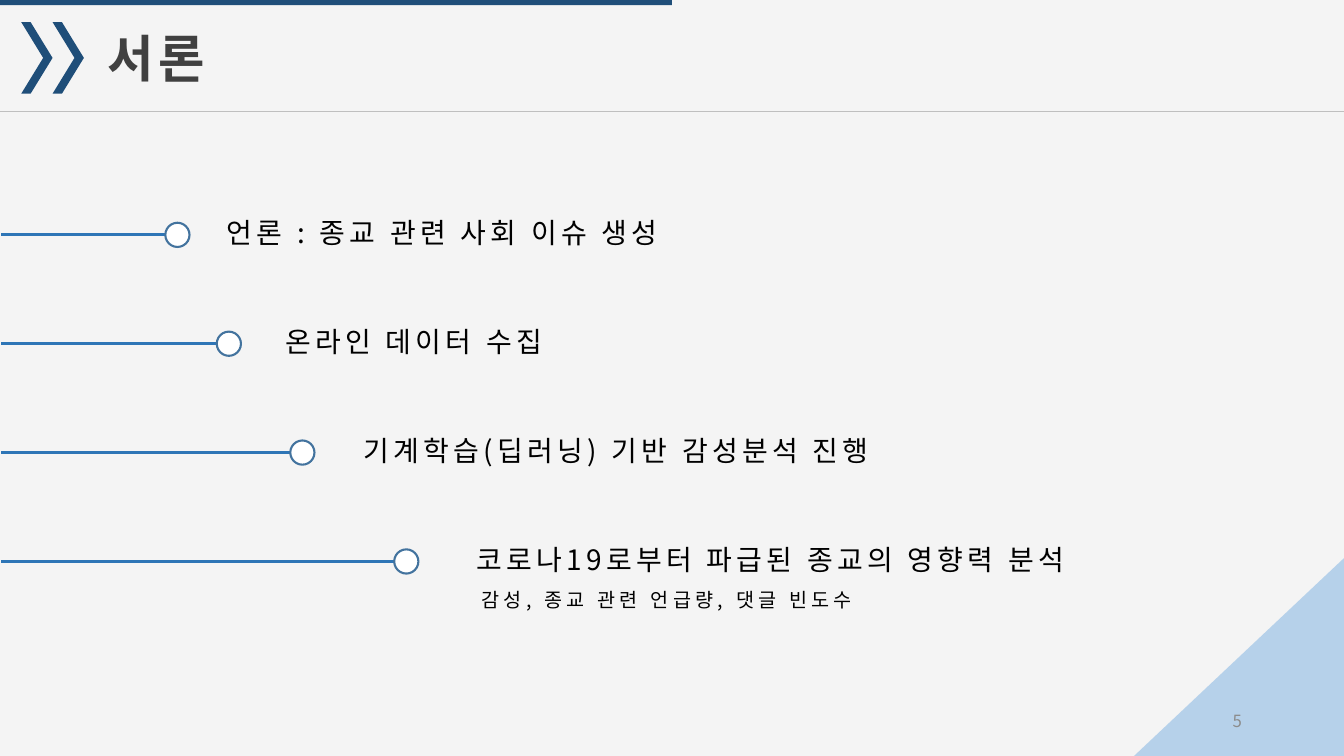
from pptx import Presentation
from pptx.dml.color import RGBColor
from pptx.enum.shapes import MSO_CONNECTOR, MSO_SHAPE
from pptx.enum.text import MSO_ANCHOR, MSO_AUTO_SIZE, PP_ALIGN
from pptx.oxml.ns import qn
from pptx.util import Inches, Pt
from lxml import etree

RECT = MSO_SHAPE.RECTANGLE
WEDGE = MSO_SHAPE.ISOSCELES_TRIANGLE
ARROW = MSO_SHAPE.CHEVRON
OVAL = MSO_SHAPE.OVAL
LINE = MSO_CONNECTOR.STRAIGHT
GROW = MSO_AUTO_SIZE.SHAPE_TO_FIT_TEXT
MIDDLE = MSO_ANCHOR.MIDDLE
RIGHT = PP_ALIGN.RIGHT

FONT = "Noto Sans CJK KR"
HEX = {
    "back": "EDEDED", "corner": "9DC3E6", "navy": "1F4E79",
    "title": "404040", "rule": "BFBFBF", "text": "000000",
    "stem": "2E75B6", "ring": "43739E", "white": "FFFFFF", "page": "8C8C8C",
}
INK = {name: RGBColor.from_string(code) for name, code in HEX.items()}

deck = Presentation()
deck.slide_width = Inches(13.33)
deck.slide_height = Inches(7.5)
COL = deck.slide_width / 100
ROW = deck.slide_height / 100
slide = deck.slides.add_slide(deck.slide_layouts[6])
shapes = slide.shapes


def draw(home, kind, x, y, w, h, ink, alpha=100):
    shape = home.add_shape(kind, int(x * COL), int(y * ROW), int(w * COL), int(h * ROW))
    shape.shadow.inherit = False
    shape.fill.solid()
    shape.fill.fore_color.rgb = INK[ink]
    shape.line.fill.background()
    if alpha < 100:
        tint = shape.fill._xPr.find(qn("a:solidFill"))[0]
        etree.SubElement(tint, qn("a:alpha")).set("val", str(alpha * 1000))
    return shape


def write(words, x, y, w, h, size, ink, space=300):
    box = shapes.add_textbox(int(x * COL), int(y * ROW), int(w * COL), int(h * ROW))
    frame = box.text_frame
    frame.word_wrap = True
    frame.auto_size = GROW
    run = frame.paragraphs[0].add_run()
    run.text = words
    run.font.size = Pt(size)
    run.font.name = FONT
    run.font.color.rgb = INK[ink]
    props = run.font._element
    props.set("spc", str(space))
    etree.SubElement(props, qn("a:ea")).set("typeface", FONT)
    return frame


draw(shapes, RECT, -1.13, 0, 104.1, 100, "back", 60)
corner = draw(shapes, WEDGE, 84.75, 82.4, 25.35, 22.8, "corner", 70)
corner.rotation = 136.7
draw(shapes, RECT, 0, 0, 50, 0.67, "navy")

title = write("서론", 7.28, 2.93, 13.88, 9.47, 36, "title")
title.paragraphs[0].runs[0].font.bold = True

marks = shapes.add_group_shape().shapes
for i in range(2):
    mark = draw(marks, ARROW, 1.58 + 2.33 * i, 2.93, 2.33, 9.47, "navy")
    mark.adjustments[0] = 0.7

TOP, STEP, MID = 27.87, 14.4, 3.2
DOT_W, DOT_H = 1.8, 3.2
items = [
    ("언론 : 종교 관련 사회 이슈 생성", 12.3, 16.13, 36.23),
    ("온라인 데이터 수집", 16.13, 20.48, 23.93),
    ("기계학습(딥러닝) 기반 감성분석 진행", 21.6, 26.33, 40.5),
    ("코로나19로부터 파급된 종교의 영향력 분석", 29.33, 34.73, 46.88),
]
lines = [(0, 100, 14.67, "rule", 0.5)]
for i, (words, dot, left, wide) in enumerate(items):
    write(words, left, TOP + STEP * i, wide, 5.87, 20, "text")
    lines.append((0.1, dot + DOT_W / 2, TOP + STEP * i + MID, "stem", 2))
write("감성, 종교 관련 언급량, 댓글 빈도수", 35.1, 77.07, 29.85, 4.53, 14, "text")

for start, end, y, ink, width in lines:
    line = shapes.add_connector(LINE, int(start * COL), int(y * ROW), int(end * COL), int(y * ROW))
    line.line.color.rgb = INK[ink]
    line.line.width = Pt(width)
    etree.SubElement(line._element.spPr, qn("a:effectLst"))

for i, (words, dot, left, wide) in enumerate(items):
    ring = draw(shapes, OVAL, dot, TOP + STEP * i + MID - DOT_H / 2, DOT_W, DOT_H, "white")
    ring.line.color.rgb = INK["ring"]
    ring.line.width = Pt(1.5)

page = write("5", 70.65, 92.67, 22.5, 5.33, 12, "page", 0)
page.auto_size = MSO_AUTO_SIZE.NONE
page.vertical_anchor = MIDDLE
page.paragraphs[0].alignment = RIGHT

deck.save("out.pptx")
